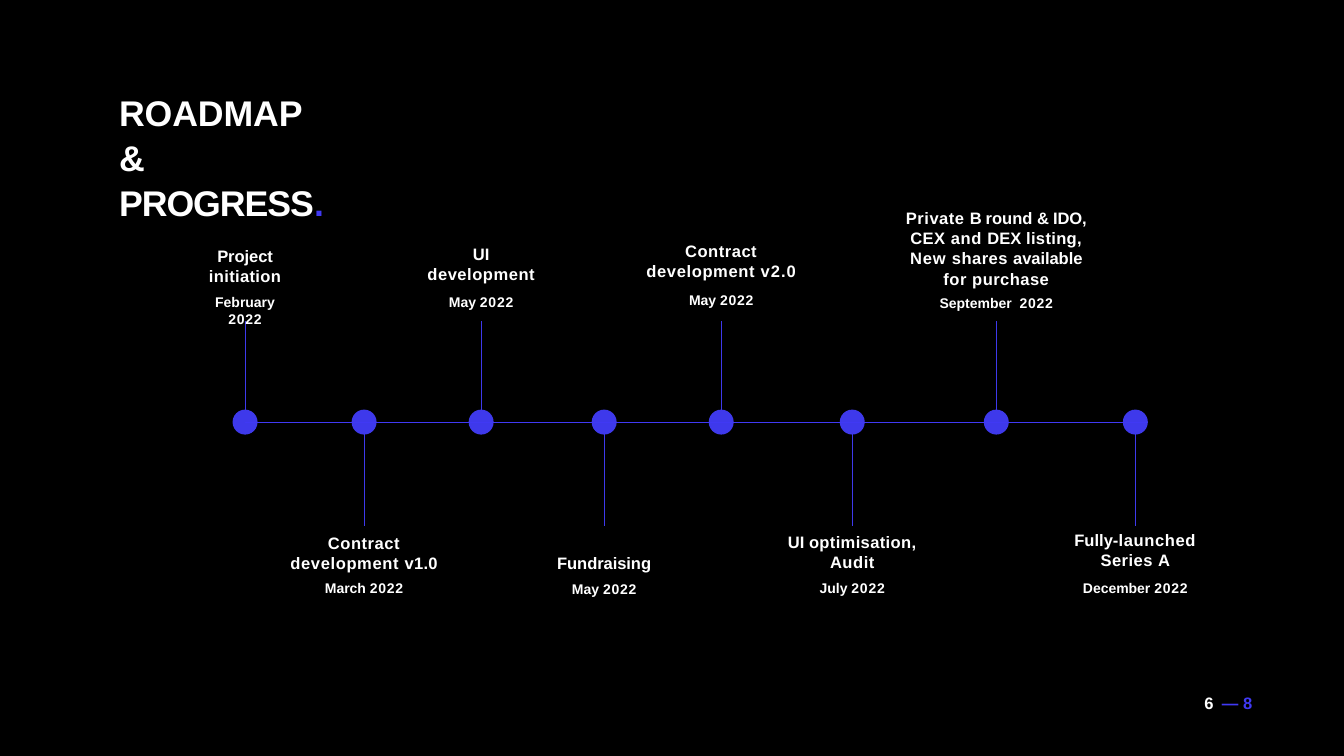
from pptx import Presentation
from pptx import util as u
from pptx.dml.color import RGBColor
from pptx.enum import shapes, text
from pptx.oxml.ns import qn

PX = 914400 / 61.1
WHITE, BLUE, DOT = "FFFFFF", "4039F4", "3E39EB"
AXIS = 422

# centre x, text top, width, height, date gap, name runs, month
STOPS = [
    (245, 246, 86, 66, 9.2, [("Project ", -.1), ("initiation", .4)], "February "),
    (364, 533, 150, 64, 7.2,
     [("Contract ", .6), ("development ", .7), ("v1.0", .3)], "March "),
    (481, 244, 111, 67, 10.4, [("UI ", -.2), ("development", .6)], "May "),
    (604, 553, 100, 44, 8.3, [("Fundraising", -.1)], "May "),
    (721, 241, 152, 68, 11.7,
     [("Contract ", .6), ("development ", .7), ("v2.0", 1.2)], "May "),
    (852, 532, 132, 65, 8.3,
     [("UI ", 0), ("optimisation, ", .4), ("Audit", .6)], "July "),
    (996, 208, 181, 105, 6.8,
     [("Private ", .6), ("B ", -1.1), ("round ", 0), ("& ", -.7),
      ("IDO, ", -.2), ("CEX ", .5), ("and ", .7), ("DEX ", 0),
      ("listing, ", .4), ("New ", .9), ("shares ", .5),
      ("available ", -.1), ("for ", .6), ("purchase", .5)], "September  "),
    (1135, 530, 126, 67, 10.8,
     [("Fully-", 0), ("launched ", .7), ("Series ", .5), ("A", .6)], "December "),
]


def px(n):
    """Turn pixels into EMU."""
    return u.Emu(round(n * PX))


def rgb(code):
    """Turn a hex string into a colour."""
    return RGBColor.from_string(code)


def add_run(para, words, size, gap=0, color=WHITE):
    """Add one bold run with letter spacing in points."""
    run = para.add_run()
    run.text = words
    font = run.font
    font.name, font.size, font.bold = "Arial", u.Pt(size), True
    font.color.rgb = rgb(color)
    run._r.get_or_add_rPr().set("spc", str(round(gap * 100)))


def set_frame(frame):
    """Wrap text from the top with no insets."""
    frame.word_wrap = True
    frame.auto_size = text.MSO_AUTO_SIZE.NONE
    frame.vertical_anchor = text.MSO_ANCHOR.TOP
    frame.margin_left = frame.margin_right = 0
    frame.margin_top = frame.margin_bottom = 0
    return frame


def add_box(slide, x, y, w, h):
    """Add a text box and return its frame."""
    return set_frame(slide.shapes.add_textbox(px(x), px(y), px(w), px(h)).text_frame)


def add_line(slide, x1, y1, x2, y2, color):
    """Add a thin straight line."""
    line = slide.shapes.add_connector(
        shapes.MSO_CONNECTOR.STRAIGHT, px(x1), px(y1), px(x2), px(y2))
    line.line.color.rgb = rgb(color)
    line.line.width = u.Pt(.82)
    props = line._element.spPr
    props.append(props.makeelement(qn("a:effectLst"), {}))


def add_dot(slide, x):
    """Add a round marker on the axis."""
    size = 25
    dot = slide.shapes.add_shape(
        shapes.MSO_SHAPE.OVAL, px(x - size / 2), px(AXIS - size / 2), px(size), px(size))
    dot.shadow.inherit = False
    dot.fill.solid()
    dot.fill.fore_color.rgb = rgb(DOT)
    dot.line.fill.background()


def add_label(slide, x, top, wide, high, gap, name, month):
    """Add a milestone name with its date below."""
    frame = add_box(slide, x - wide / 2, top, wide, high)
    head, date = frame.paragraphs[0], frame.add_paragraph()
    head.alignment = date.alignment = text.PP_ALIGN.CENTER
    head.line_spacing = 1.01
    date.space_before = u.Pt(gap)
    for words, space in name:
        add_run(head, words, 19.5, space)
    add_run(date, month, 16.5)
    add_run(date, "2022", 16.5, .9)


def set_title(slide):
    """Place and fill the title."""
    title = slide.shapes.title
    title.left, title.top, title.width, title.height = map(px, (119, 89, 225, 130))
    frame = set_frame(title.text_frame)
    first, last = frame.paragraphs[0], frame.add_paragraph()
    for para in (first, last):
        para.alignment = text.PP_ALIGN.LEFT
        para.line_spacing = 1.05
    add_run(first, "ROADMAP", 42, -.1)
    add_run(last, "& ", 42, -2.8)
    add_run(last, "PROGRESS", 42, -1.2)
    add_run(last, ".", 42, -1.2, BLUE)


def add_page(slide):
    """Add the page count."""
    para = add_box(slide, 1204, 693, 52, 22).paragraphs[0]
    add_run(para, "6 ", 19.5, 2.2)
    add_run(para, "— ", 19.5, 0, BLUE)
    add_run(para, "8", 19.5, 1.3, BLUE)


def main():
    """Build the roadmap slide."""
    deck = Presentation()
    deck.slide_width, deck.slide_height = u.Inches(21.99), u.Inches(12.37)
    slide = deck.slides.add_slide(deck.slide_layouts[5])
    fill = slide.background.fill
    fill.solid()
    fill.fore_color.rgb = rgb("000000")
    set_title(slide)
    for x, top, *_ in STOPS:
        add_dot(slide, x)
        add_line(slide, x, 434, x, 321 if top < AXIS else 526, DOT)
    add_line(slide, STOPS[0][0], AXIS, 1147, AXIS, BLUE)
    for stop in STOPS:
        add_label(slide, *stop)
    add_page(slide)
    deck.save("out.pptx")


main()
